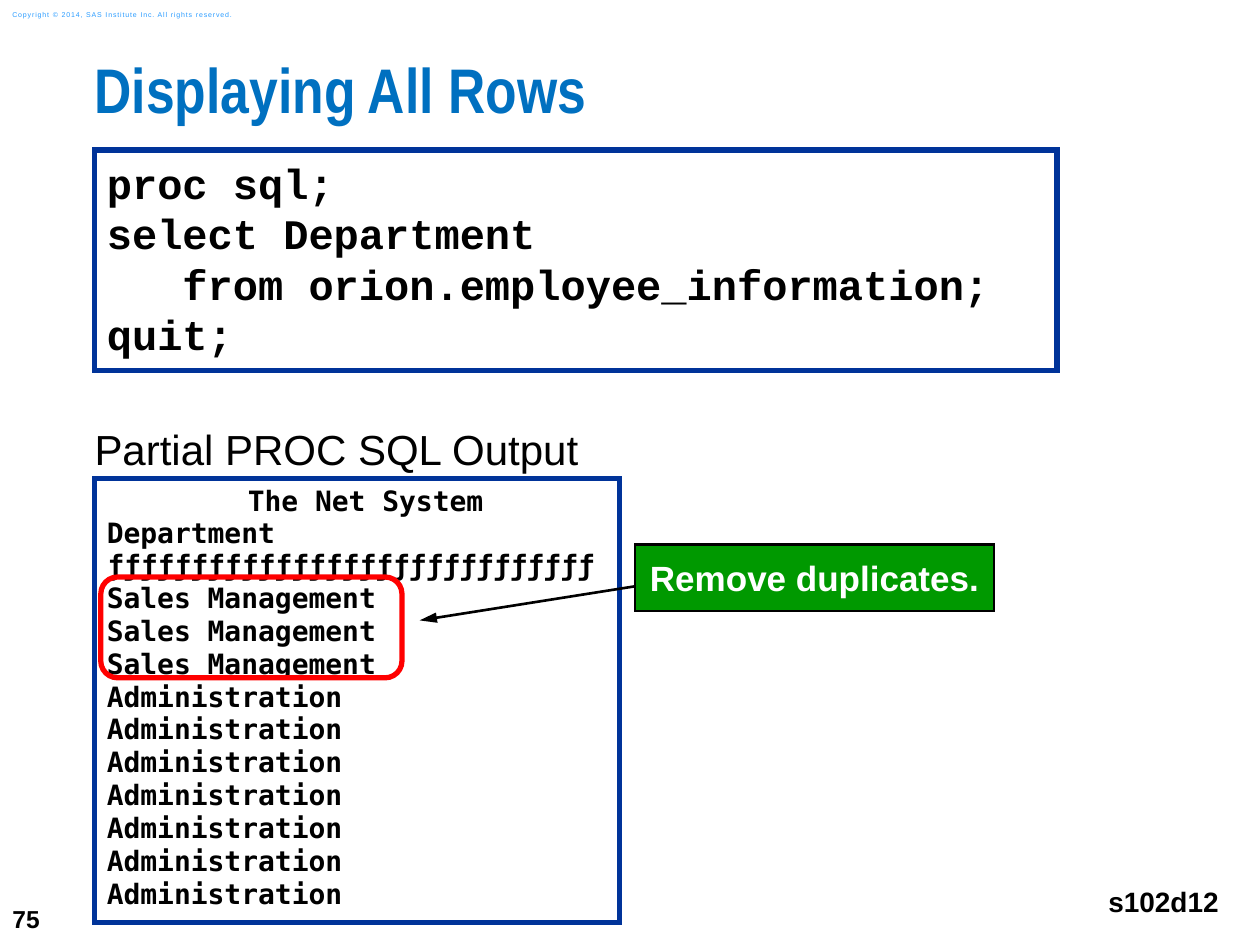
from pptx import Presentation
from pptx import util as u
from pptx.dml.color import RGBColor
from pptx.enum import shapes, text
from pptx.oxml.ns import qn
from lxml import etree

COLORS = {
    "black": "000000",
    "white": "FFFFFF",
    "title": "0070C0",
    "copyright": "2A9CFF",
    "frame": "003399",
    "highlight": "FF0000",
    "callout": "009900",
}
ALIGN = text.PP_ALIGN
ANCHOR = text.MSO_ANCHOR
SHAPE = shapes.MSO_SHAPE

CODE = [
    "proc sql;",
    "select Department",
    "   from orion.employee_information;",
    "quit;",
]
HEADER = [" The Net System", "Department", "ƒ" * 29]
ROWS = ["Sales Management"] * 3 + ["Administration"] * 7


def rgb(name):
    return RGBColor.from_string(COLORS[name])


def set_text(sp, lines, font, size, color="black", bold=True, align=ALIGN.LEFT,
             anchor=ANCHOR.TOP, insets=(0.1, 0.05, 0.1, 0.05), wrap=True):
    tf = sp.text_frame
    tf.word_wrap = wrap
    tf.vertical_anchor = anchor
    tf.margin_left, tf.margin_top, tf.margin_right, tf.margin_bottom = map(u.Inches, insets)
    tf.text = "\n".join(lines)
    for p in tf.paragraphs:
        p.alignment = align
        for r in p.runs:
            r.font.name = font
            r.font.size = u.Pt(size)
            r.font.bold = bold
            r.font.color.rgb = rgb(color)
    return tf


def add_label(s, box, line, font, size, **style):
    sp = s.shapes.add_textbox(*map(u.Inches, box))
    return set_text(sp, [line], font, size, **style)


def add_box(s, kind, box, line, width, fill=None):
    sp = s.shapes.add_shape(kind, *map(u.Inches, box))
    sp.shadow.inherit = False
    if fill:
        sp.fill.solid()
        sp.fill.fore_color.rgb = rgb(fill)
    else:
        sp.fill.background()
    sp.line.color.rgb = rgb(line)
    sp.line.width = u.Pt(width)
    etree.SubElement(sp.line._get_or_add_ln(), qn("a:miter"), lim="800000")
    return sp


def add_output(s):
    sp = add_box(s, SHAPE.RECTANGLE, (0.75, 3.8, 4.17, 3.52), "frame", 3, "white")
    tf = set_text(sp, HEADER + ROWS, "DejaVu Sans Mono", 16,
                  insets=(0.1, 0.06, 0.1, 0.06))
    for i, p in enumerate(tf.paragraphs):
        p.line_spacing = 0.95 if i < len(HEADER) else 0.98
    tf.paragraphs[0].alignment = ALIGN.CENTER


def add_callout(s):
    sp = add_box(s, SHAPE.LINE_CALLOUT_1, (5.04, 4.32, 2.85, 0.53), "black", 1.5, "callout")
    for i, value in enumerate((0.63, 0, 1.14, -0.6)):
        sp.adjustments[i] = value
    ln = sp.line._get_or_add_ln()
    etree.SubElement(ln, qn("a:tailEnd"), type="triangle", len="lg")
    set_text(sp, ["Remove duplicates."], "Arial", 20, color="white",
             align=ALIGN.CENTER, anchor=ANCHOR.MIDDLE, insets=(0.1,) * 4)


def main():
    prs = Presentation()
    prs.slide_width, prs.slide_height = u.Inches(10), u.Inches(7.5)
    s = prs.slides.add_slide(prs.slide_layouts[6])

    add_label(s, (0, 7.08, 0.58, 0.42), "75", "Arial", 14, anchor=ANCHOR.MIDDLE)
    tf = add_label(s, (0, 0.03, 2.11, 0.17),
                   "Copyright © 2014, SAS Institute Inc. All rights reserved.",
                   "Arial", 4, color="copyright", bold=False, anchor=ANCHOR.MIDDLE)
    tf.paragraphs[0].runs[0].font._element.set("spc", "50")

    tf = add_label(s, (0.75, 0.5, 9.25, 0.74), "Displaying All Rows",
                   "Arial Narrow", 36, color="title", insets=(0,) * 4)
    tf.paragraphs[0].line_spacing = 0.83
    add_label(s, (0.75, 3.36, 8.58, 0.4), "Partial PROC SQL Output",
              "Arial", 24, bold=False, insets=(0,) * 4)
    add_label(s, (8.69, 6.92, 1.08, 0.47), "s102d12", "Arial", 16,
              align=ALIGN.RIGHT, insets=(0.1,) * 4, wrap=False)

    code = add_box(s, SHAPE.RECTANGLE, (0.75, 1.19, 7.64, 1.75), "frame", 3, "white")
    set_text(code, CODE, "Courier New", 24, insets=(0.1, 0.06, 0, 0.06))
    add_output(s)
    add_box(s, SHAPE.ROUNDED_RECTANGLE, (0.8, 4.58, 2.39, 0.8), "highlight", 3)
    add_callout(s)

    prs.save("out.pptx")


if __name__ == "__main__":
    main()
